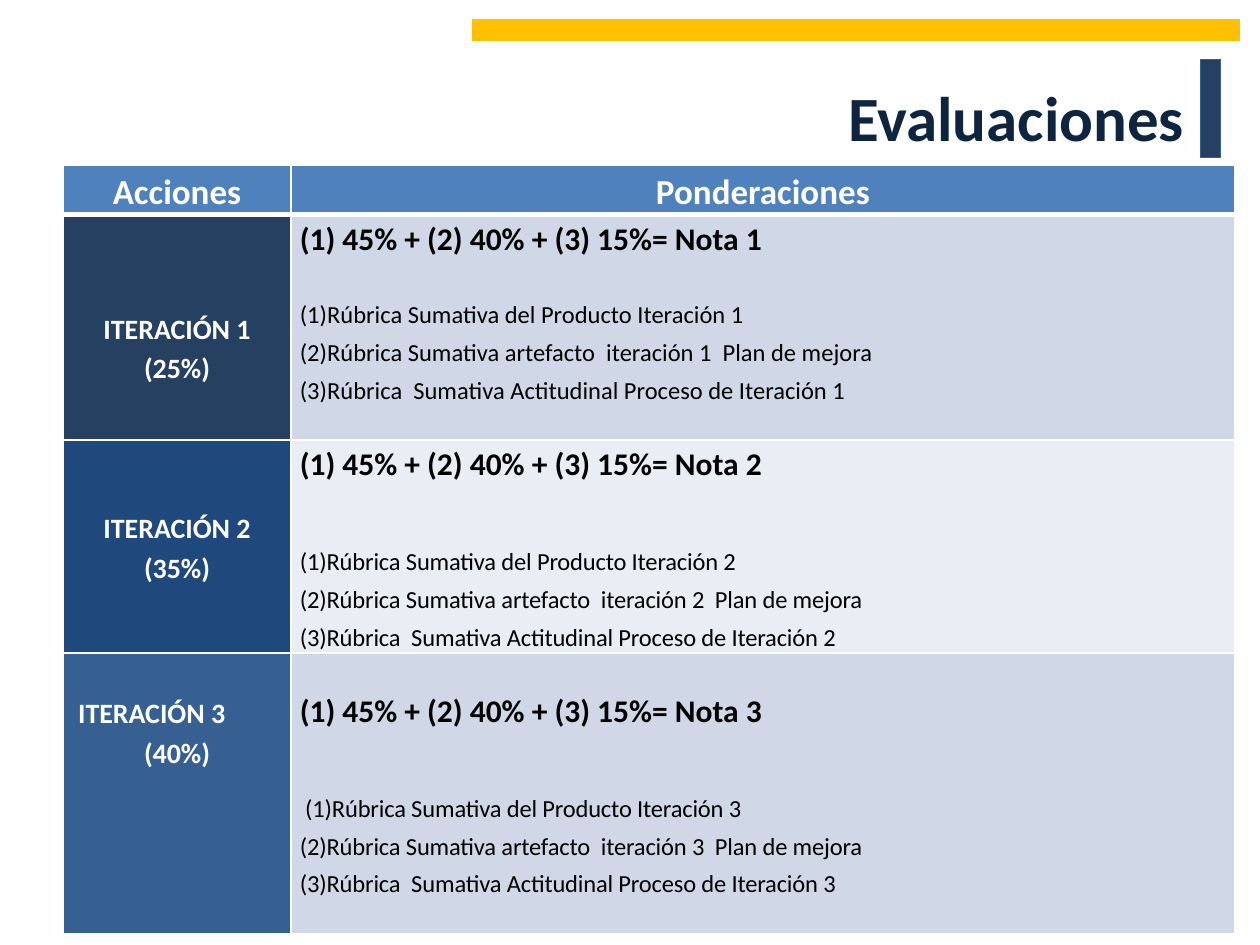
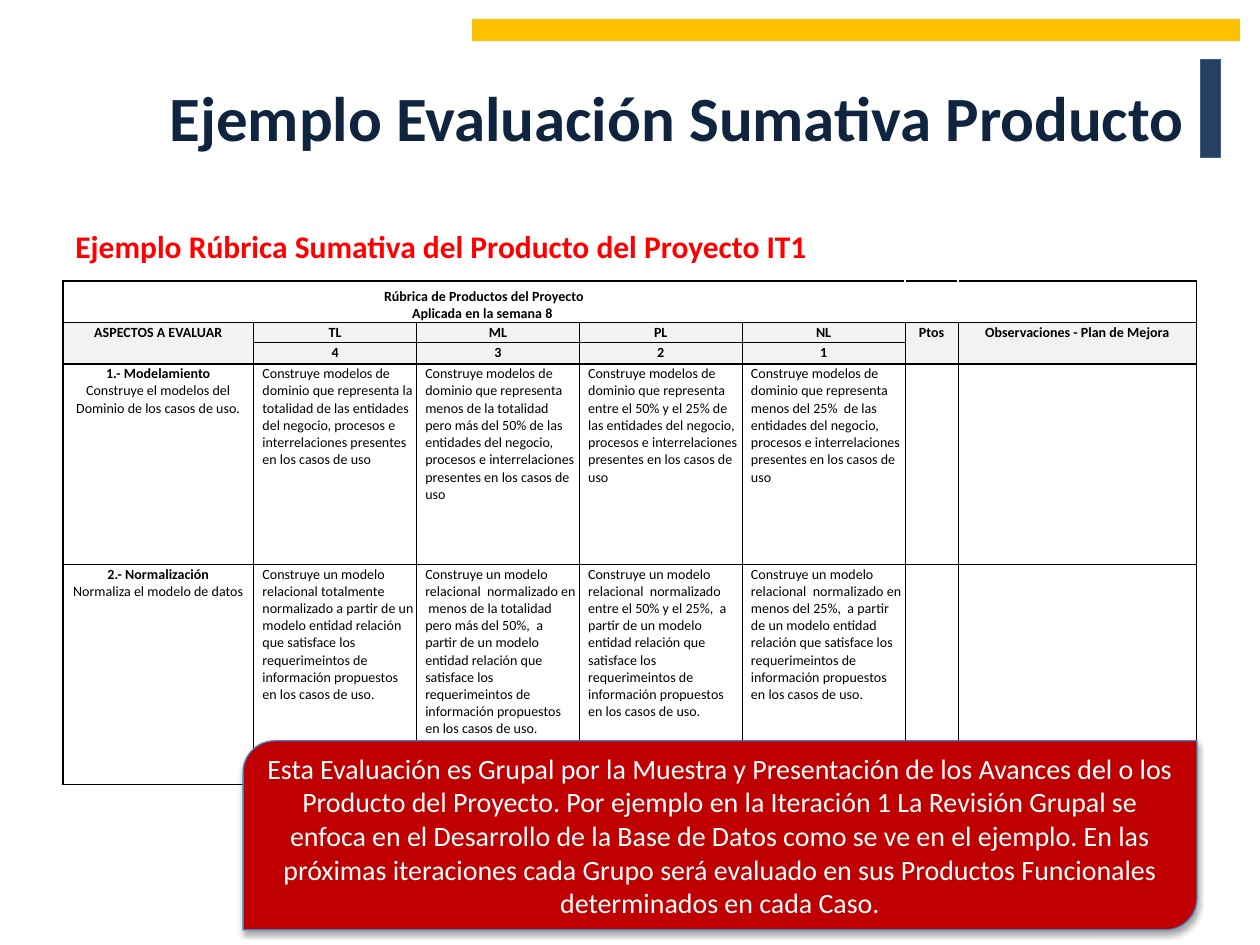
import collections

import lxml.etree
import pptx
import pptx.dml.color
import pptx.enum.shapes
import pptx.enum.text
import pptx.oxml.ns
import pptx.util

WIDTH, HEIGHT = 10, 7.5
FONT = "Calibri"
NAVY, STEEL, GOLD = "254061", "376092", "FFC000"
TITLE_INK, BLACK, WHITE, RED = "0F243E", "000000", "FFFFFF", "FF0000"
BLUE, MID_BLUE, PALE, PALER = "4F81BD", "1F497D", "D0D8E8", "E9EDF4"
GREY, CRIMSON, CALLOUT_EDGE = "F2F2F2", "C00000", "4B7EBC"

ALIGN = pptx.enum.text.PP_ALIGN
ANCHOR = pptx.enum.text.MSO_ANCHOR
SHAPE = pptx.enum.shapes.MSO_SHAPE
Box = collections.namedtuple("Box", "left top width height")

# Regions of the page
TITLE_BOX = Box(0.5, 0.3, 9, 1.25)
MARK_BOX = Box(9.53, 0.47, 0.16, 0.78)
BAND_BOX = Box(3.75, 0.16, 6.09, 0.16)
WEIGHTS_BOX = Box(0.5, 1.31, 9.3, 6.09)
SUBTITLE_BOX = Box(0.5, 1.75, 9, 4.95)
RUBRIC_BOX = Box(0.5, 2.23, 9, 4)
CALLOUT_BOX = Box(1.93, 5.88, 7.57, 1.5)


def color(value):
    return pptx.dml.color.RGBColor.from_string(value)


def emu(box):
    return [pptx.util.Inches(length) for length in box]


def add_element(parent, tag, **attributes):
    return lxml.etree.SubElement(parent, pptx.oxml.ns.qn(tag), attributes)


def add_text(para, text, size, ink, bold=False):
    """Add one run; return it."""
    span = para.add_run()
    span.text = text
    span.font.name, span.font.size = FONT, pptx.util.Pt(size)
    span.font.bold, span.font.color.rgb = bold, color(ink)
    return span


def add_block(shapes, kind, box, fill, line):
    block = shapes.add_shape(kind, *emu(box))
    block.shadow.inherit = False
    block.fill.solid()
    block.fill.fore_color.rgb = color(fill)
    block.line.color.rgb = color(line)
    block.line.width = pptx.util.Pt(0.75)
    return block


# Tables
def add_grid(page, box, columns, rows):
    """Add a plain table; columns and rows are relative shares of the box."""
    table = page.shapes.add_table(len(rows), len(columns), *emu(box)).table
    table.first_row = table.horz_banding = False
    for column, share in zip(table.columns, columns):
        column.width = pptx.util.Inches(box.width * share / sum(columns))
    for row, share in zip(table.rows, rows):
        row.height = pptx.util.Inches(box.height * share / sum(rows))
    return table


def dress_cell(cell, fill, borders, ink, margins, anchor=ANCHOR.TOP):
    """Set fill, margins (left, top, right, bottom) and border widths by side."""
    cell.margin_left, cell.margin_top, cell.margin_right, cell.margin_bottom = emu(margins)
    cell.vertical_anchor = anchor
    properties = cell._tc.get_or_add_tcPr()
    for side in "LRTB":
        if side in borders:
            width = str(int(pptx.util.Pt(borders[side])))
            line = add_element(properties, "a:ln" + side, w=width)
            add_element(add_element(line, "a:solidFill"), "a:srgbClr", val=ink)
    cell.fill.solid()
    cell.fill.fore_color.rgb = color(fill)


# Parts shared by all slides
def add_master_bands(deck, page):
    """Draw the bands and move them to the slide master."""
    tree = deck.slide_master.shapes.element
    bands = [(MARK_BOX, NAVY, STEEL), (BAND_BOX, GOLD, GOLD)]
    for index, (box, fill, line) in enumerate(bands):
        band = add_block(page.shapes, SHAPE.RECTANGLE, box, fill, line)
        band.element.nvSpPr.cNvPr.set("id", str(50 + index))
        tree.insert(2 + index, band.element)


def add_page(deck, title):
    page = deck.slides.add_slide(deck.slide_layouts[5])
    holder = page.shapes.title
    holder.left, holder.top, holder.width, holder.height = emu(TITLE_BOX)
    frame = holder.text_frame
    frame.auto_size = pptx.enum.text.MSO_AUTO_SIZE.NONE
    frame.vertical_anchor = ANCHOR.MIDDLE
    frame.paragraphs[0].alignment = ALIGN.RIGHT
    add_text(frame.paragraphs[0], title, 36, TITLE_INK, True)
    return page


# Slide 1: weights of each iteration
Iteration = collections.namedtuple(
    "Iteration", "share fill tint label_top label_anchor text_top gap tracking")
ITERATIONS = [
    Iteration("25%", NAVY, PALE, 0.31, ANCHOR.MIDDLE, 0, 21.5, 0),
    Iteration("35%", MID_BLUE, PALER, 0, ANCHOR.MIDDLE, 0, 33.7, -10),
    Iteration("40%", STEEL, PALE, 0.31, ANCHOR.TOP, 0.27, 33.7, -10),
]


def add_cell_lines(cell, lines):
    """Each line is text, size, ink, bold, alignment, space before, tracking."""
    for index, (text, size, ink, bold, align, before, tracking) in enumerate(lines):
        frame = cell.text_frame
        para = frame.add_paragraph() if index else frame.paragraphs[0]
        para.alignment, para.line_spacing = align, 1.15
        para.space_before = pptx.util.Pt(before)
        span = add_text(para, text, size, ink, bold)
        if tracking:
            span.font._element.set("spc", str(tracking))


def add_weights_table(page, box):
    table = add_grid(page, box, [1.81, 7.49], [0.38, 1.79, 1.69, 2.23])
    thin = dict.fromkeys("LRTB", 1)

    # Header
    for column, heading in enumerate(["Acciones", "Ponderaciones"]):
        cell = table.cell(0, column)
        dress_cell(cell, BLUE, {**thin, "B": 3}, WHITE, (0.07, 0, 0.07, 0))
        add_cell_lines(cell, [(heading, 20, WHITE, True, ALIGN.CENTER, 0, 0)])

    # One row for each iteration
    for number, item in enumerate(ITERATIONS, 1):
        last = number == len(ITERATIONS)
        borders = {**thin, "T": 3} if number == 1 else thin
        pad = " " if last else ""
        label, text = table.cell(number, 0), table.cell(number, 1)
        dress_cell(label, item.fill, borders, WHITE,
                   (0.07, item.label_top, 0.07, 0), item.label_anchor)
        add_cell_lines(label, [
            (f"{pad}ITERACIÓN {number}", 16, WHITE, True,
             ALIGN.LEFT if last else ALIGN.CENTER, 0, 0),
            (f"({item.share})", 16, WHITE, True, ALIGN.CENTER, 0.1, 0)])
        dress_cell(text, item.tint, borders, WHITE, (0.07, item.text_top, 0.07, 0))
        rubrics = [f"{pad}(1)Rúbrica Sumativa del Producto Iteración {number}",
                   f"(2)Rúbrica Sumativa artefacto  iteración {number}  Plan de mejora",
                   f"(3)Rúbrica  Sumativa Actitudinal Proceso de Iteración {number}"]
        formula = f"(1) 45% + (2) 40% + (3) 15%= Nota {number}"
        add_cell_lines(text, [(formula, 18, BLACK, True, ALIGN.LEFT, 0, 0)] + [
            (rubric, 14, BLACK, False, ALIGN.LEFT, before, item.tracking)
            for rubric, before in zip(rubrics, [item.gap, 1.9, 1.9])])


# Slide 2: sample rubric
LEVELS = [("TL", "4"), ("ML", "3"), ("PL", "2"), ("NL", "1")]
MODEL = "Construye modelos de dominio que representa "
MODEL_END = "presentes en los casos de uso"
ENTITIES = "de las entidades del negocio, procesos e interrelaciones "
DATA = "Construye un modelo relacional "
DATA_END = ("a partir de un modelo entidad relación que satisface los requerimeintos "
            "de información propuestos en los casos de uso.")
ASPECTS = [
    ("1.- Modelamiento", "Construye el modelos del Dominio de los casos de uso.",
     [MODEL + "la totalidad " + ENTITIES + MODEL_END]
     + [f"{MODEL}{amount} {ENTITIES} {MODEL_END}" for amount in (
         "menos de la totalidad pero más del 50%", "entre el 50% y el 25%",
         "menos del 25% ")]),
    ("2.- Normalización", "Normaliza el modelo de datos",
     [DATA + "totalmente normalizado " + DATA_END]
     + [f"{DATA} normalizado {amount},  {DATA_END}" for amount in (
         "en  menos de la totalidad pero más del 50%", "entre el 50% y el 25%",
         "en menos del 25%")]),
]


def rubric_borders(row, column):
    """Heavy lines around the header, the first column and the outer edge."""
    tall = row == 1 and column in (0, 5, 6)
    borders = {"L": 1 if column < 2 else 0.5,
               "R": 1 if column in (0, 6) else 0.5,
               "T": 1 if row in (0, 1, 3) else 0.5,
               "B": 1 if row in (0, 2) or tall else 0.5}
    if row == 0:
        if column != 0:
            del borders["L"]
        if column != 6:
            del borders["R"]
    return borders


def add_rubric_table(page, box):
    table = add_grid(page, box, [1.51] + [1.29] * 4 + [0.42, 1.89],
                     [0.33, 0.16, 0.17, 1.59, 1.75])
    for row in range(5):
        for column in range(7):
            cell = table.cell(row, column)
            indent = 0.07 if row > 2 and 1 <= column <= 4 else 0.01
            dress_cell(cell, GREY if row in (1, 2) else WHITE,
                       rubric_borders(row, column), BLACK, (indent, 0.01, 0.01, 0),
                       ANCHOR.BOTTOM if row == 0 else ANCHOR.TOP)

    def write(row, column, *parts, align=ALIGN.CENTER):
        """Write (text, bold) parts, one under the other."""
        para = table.cell(row, column).text_frame.paragraphs[0]
        para.alignment = align
        for index, (text, bold) in enumerate(parts):
            if index:
                para.add_line_break()
            add_text(para, text, 8, BLACK, bold)

    # Header rows
    write(0, 0, ("Rúbrica de Productos del Proyecto", True),
          ("Aplicada en la semana 8 ", True))
    headings = {0: "ASPECTOS A EVALUAR", 5: "Ptos", 6: "Observaciones - Plan de Mejora"}
    for column, heading in headings.items():
        write(1, column, (heading, True))
    for column, (level, points) in enumerate(LEVELS, 1):
        write(1, column, (level, True))
        write(2, column, (points, True))

    # Aspects
    for row, (name, goal, criteria) in enumerate(ASPECTS, 3):
        write(row, 0, (name, True), (goal, False))
        for column, criterion in enumerate(criteria, 1):
            write(row, column, (criterion, False), align=ALIGN.LEFT)

    # Empty cells keep the small size so that rows stay low
    for cell in table.iter_cells():
        if not cell.text_frame.text:
            add_element(cell.text_frame.paragraphs[0]._p, "a:endParaRPr", sz="800")
    table.cell(0, 0).merge(table.cell(0, 4))
    for column in headings:
        table.cell(1, column).merge(table.cell(2, column))


def add_subtitle(page, box):
    frame = page.shapes.add_textbox(*emu(box)).text_frame
    frame.word_wrap = True
    add_text(frame.paragraphs[0],
             "Ejemplo Rúbrica Sumativa del Producto del Proyecto IT1", 18, RED, True)


def add_callout(page, box):
    callout = add_block(page.shapes, SHAPE.ROUND_2_DIAG_RECTANGLE, box,
                        CRIMSON, CALLOUT_EDGE)
    effects = callout.element.spPr.find(pptx.oxml.ns.qn("a:effectLst"))
    shadow = add_element(effects, "a:outerShdw", blurRad="40000", dist="23000",
                         dir="5400000", rotWithShape="0")
    add_element(add_element(shadow, "a:srgbClr", val=BLACK), "a:alpha", val="35000")
    frame = callout.text_frame
    frame.word_wrap, frame.vertical_anchor = True, ANCHOR.MIDDLE
    frame.paragraphs[0].alignment = ALIGN.CENTER
    add_text(frame.paragraphs[0],
             "Esta Evaluación es Grupal por la Muestra y Presentación de los Avances "
             "del o los Producto del Proyecto. Por ejemplo en la Iteración 1 La "
             "Revisión Grupal se enfoca en el Desarrollo de la Base de Datos como se "
             "ve en el ejemplo. En las próximas iteraciones cada Grupo será evaluado "
             "en sus Productos Funcionales determinados en cada Caso.", 16, WHITE)


def main():
    deck = pptx.Presentation()
    deck.slide_width, deck.slide_height = emu((WIDTH, HEIGHT))

    page = add_page(deck, "Evaluaciones")
    add_master_bands(deck, page)
    add_weights_table(page, WEIGHTS_BOX)

    page = add_page(deck, "Ejemplo Evaluación Sumativa Producto")
    add_subtitle(page, SUBTITLE_BOX)
    add_rubric_table(page, RUBRIC_BOX)
    add_callout(page, CALLOUT_BOX)

    deck.save("out.pptx")


if __name__ == "__main__":
    main()
